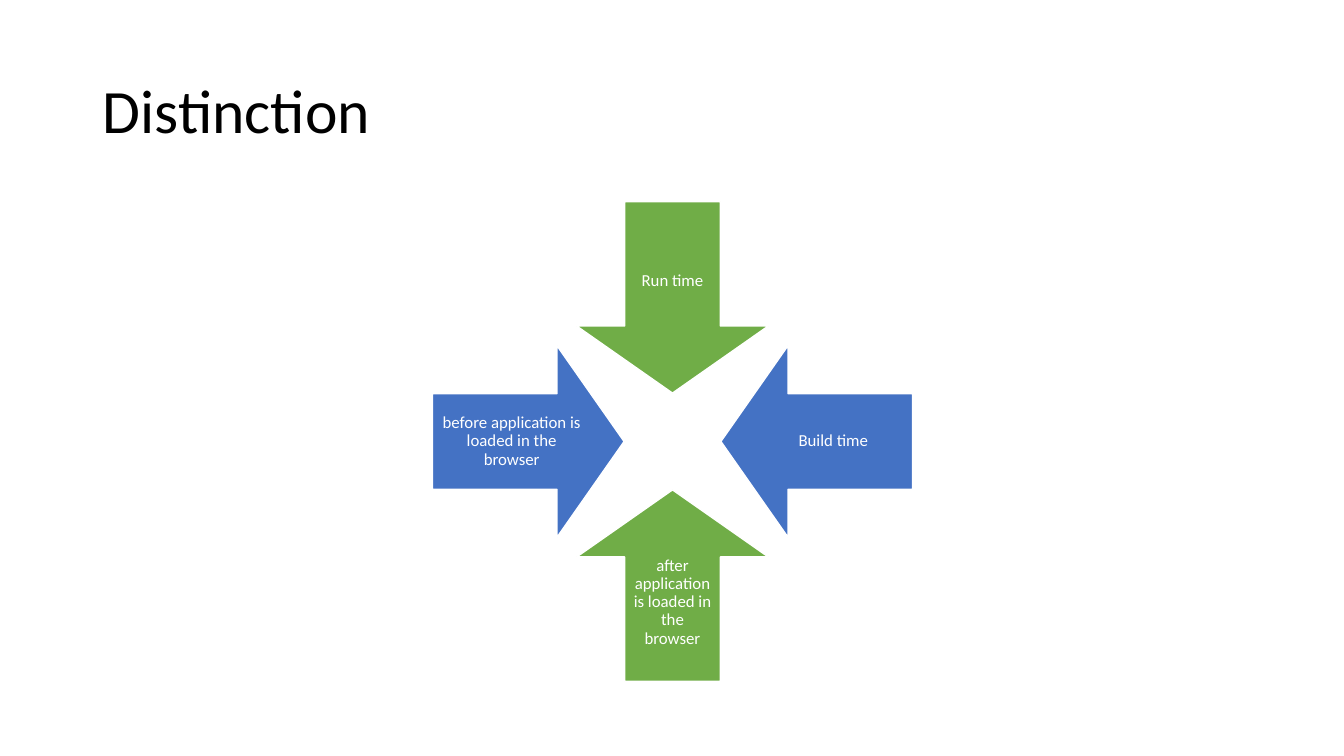
"""Build the "Distinction" slide: four arrows converging on a centre."""
from pptx import Presentation
from pptx.dml.color import RGBColor
from pptx.enum.shapes import MSO_SHAPE
from pptx.enum.text import MSO_ANCHOR, PP_ALIGN
from pptx.util import Inches, Pt

COLORS = {"black": "000000", "white": "FFFFFF", "green": "70AD47", "blue": "4472C4"}


def write(tf, text, size, color, align=PP_ALIGN.LEFT):
    tf.word_wrap = True
    tf.vertical_anchor = MSO_ANCHOR.MIDDLE
    p = tf.paragraphs[0]
    p.alignment = align
    p.line_spacing = 0.9
    r = p.add_run()
    r.text = text
    r.font.name = "Calibri"
    r.font.size = Pt(size)
    r.font.color.rgb = RGBColor.from_string(COLORS[color])


def box(cx, cy, w, h):
    return [Inches(v) for v in (cx - w / 2, cy - h / 2, w, h)]


prs = Presentation()
prs.slide_width, prs.slide_height = Inches(13.33), Inches(7.5)
s = prs.slides.add_slide(prs.slide_layouts[5])

title = s.shapes.title
title.left, title.top = Inches(0.92), Inches(0.4)
title.width, title.height = Inches(11.5), Inches(1.45)
write(title.text_frame, "Distinction", 44, "black")

CX, CY = 6.67, 4.38
ARROW, ARROW_OFFSET = 1.9, 1.43
LABEL_LONG, LABEL_SHORT, LABEL_OFFSET = 1.57, 0.95, 1.595

arrows = [
    ("Run time", 0, -1, "green"),
    ("Build time", 1, 0, "blue"),
    ("after application is loaded in the browser", 0, 1, "green"),
    ("before application is loaded in the browser", -1, 0, "blue"),
]
for i, (text, dx, dy, color) in enumerate(arrows):
    sp = s.shapes.add_shape(
        MSO_SHAPE.DOWN_ARROW,
        *box(CX + dx * ARROW_OFFSET, CY + dy * ARROW_OFFSET, ARROW, ARROW))
    sp.rotation = 90 * i
    sp.adjustments[0], sp.adjustments[1] = 0.5, 0.35
    sp.shadow.inherit = False
    sp.fill.solid()
    sp.fill.fore_color.rgb = RGBColor.from_string(COLORS[color])
    sp.line.color.rgb = RGBColor.from_string(COLORS["white"])
    sp.line.width = Pt(1)

    w, h = (LABEL_LONG, LABEL_SHORT) if dx else (LABEL_SHORT, LABEL_LONG)
    label = s.shapes.add_textbox(
        *box(CX + dx * LABEL_OFFSET, CY + dy * LABEL_OFFSET, w, h))
    tf = label.text_frame
    tf.margin_left = tf.margin_right = tf.margin_top = tf.margin_bottom = Inches(0.09)
    write(tf, text, 12, "white", PP_ALIGN.CENTER)

prs.save("out.pptx")
